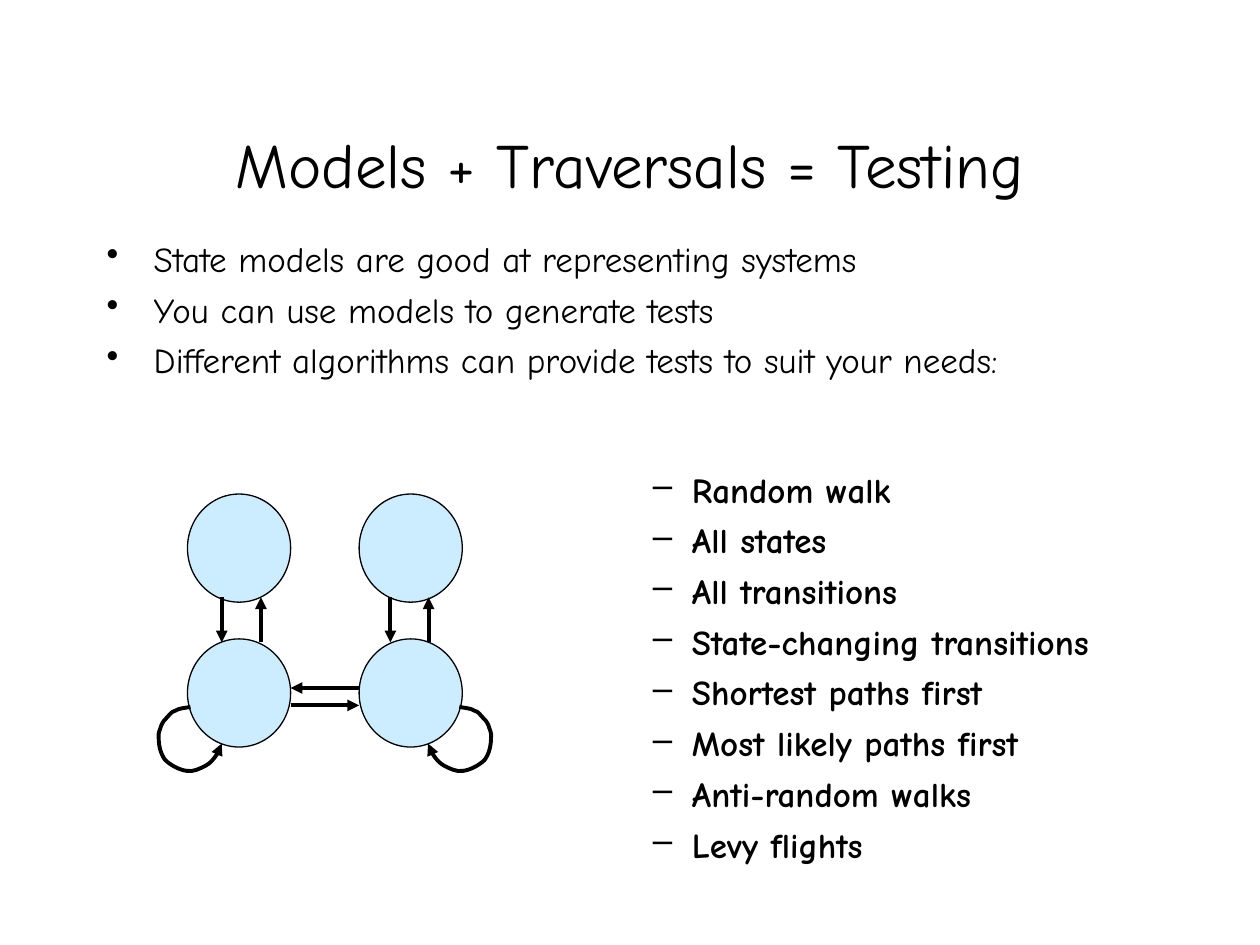
from dataclasses import dataclass

from pptx import Presentation
from pptx import util as u
from pptx.dml.color import RGBColor
from pptx.enum import shapes, text
from pptx.oxml import ns, xmlchemy

Cm, Pt = u.Cm, u.Pt
BLACK = RGBColor(0, 0, 0)
SKY = RGBColor(0xCC, 0xEC, 0xFF)
FONT = "Comic Neue"

STRAIGHT = shapes.MSO_CONNECTOR.STRAIGHT
CURVE = shapes.MSO_CONNECTOR.CURVE

# Circle grid, in cm
WIDE, HIGH = 2.08, 2.18
COLS = (3.78, 7.24)
ROWS = (9.96, 12.88)
AXIS = (COLS[0] + COLS[1] + WIDE) / 2

# Bezier points of the left self-loop, in cm
LOOP = (
    (3.84, 14.25),
    (3.78, 14.27), (3.61, 14.27), (3.53, 14.33),
    (3.45, 14.35), (3.43, 14.40), (3.38, 14.45),
    (3.33, 14.50), (3.28, 14.55), (3.25, 14.63),
    (3.23, 14.71), (3.18, 14.78), (3.20, 14.88),
    (3.20, 15.01), (3.23, 15.19), (3.33, 15.32),
    (3.43, 15.42), (3.61, 15.52), (3.76, 15.54),
    (3.89, 15.57), (4.04, 15.49), (4.14, 15.44),
    (4.24, 15.39), (4.32, 15.29), (4.37, 15.21),
    (4.45, 15.14), (4.45, 15.04), (4.47, 14.99),
)


@dataclass
class Box:
    left: float
    top: float
    width: float
    height: float
    lines: tuple
    size: int
    bold: bool = False
    mark: str = ""
    level: int = 0
    margin: float = 0
    hang: float = 0


@dataclass
class Arrow:
    x1: float
    y1: float
    x2: float
    y2: float
    kind: int = STRAIGHT


BOXES = (
    Box(1.9, 1.7, 21.59, 3.18, ("Models + Traversals = Testing",), 36),
    Box(1.9, 4.66, 22.86, 3.81, (
        "State models are good at representing systems",
        "You can use models to generate tests",
        "Different algorithms can provide tests to suit your needs:",
    ), 20, mark="•", margin=0.95, hang=0.95),
    Box(11.64, 9.31, 12.5, 8.47, (
        "Random walk",
        "All states",
        "All transitions",
        "State-changing transitions",
        "Shortest paths first",
        "Most likely paths first",
        "Anti-random walks",
        "Levy flights",
    ), 20, bold=True, mark="–", level=1, margin=2.06, hang=0.79),
)

UPPER, LOWER = 12.04, 12.95
INNER = (COLS[0] + WIDE, COLS[1])
ARROWS = (
    Arrow(INNER[1], 13.87, INNER[0], 13.87, CURVE),
    Arrow(INNER[0], 14.22, INNER[1], 14.22),
    Arrow(4.47, UPPER, 4.47, LOWER),
    Arrow(5.26, LOWER, 5.26, UPPER),
    Arrow(7.87, UPPER, 7.87, LOWER),
    Arrow(8.64, LOWER, 8.64, UPPER),
)


def add(parent, tag: str, **attrs: str):
    node = xmlchemy.OxmlElement(tag)
    for key, value in attrs.items():
        node.set(key, value)
    parent.append(node)
    return node


def bullet(para, box: Box) -> None:
    props = para._p.get_or_add_pPr()
    props.set("marL", str(Cm(box.margin)))
    props.set("indent", str(-Cm(box.hang)))
    add(add(props, "a:buClr"), "a:srgbClr", val=str(BLACK))
    add(props, "a:buChar", char=box.mark)


def write(slide, box: Box) -> None:
    shape = slide.shapes.add_textbox(
        Cm(box.left), Cm(box.top), Cm(box.width), Cm(box.height))
    frame = shape.text_frame
    frame.word_wrap = True
    if not box.mark:
        frame.vertical_anchor = text.MSO_ANCHOR.MIDDLE
    for i, line in enumerate(box.lines):
        para = frame.paragraphs[0] if i == 0 else frame.add_paragraph()
        para.text = line
        para.level = box.level
        if i:
            para.space_before = Pt(5)
        if box.mark:
            bullet(para, box)
        else:
            para.alignment = text.PP_ALIGN.CENTER
        font = para.font
        font.name, font.size, font.bold = FONT, Pt(box.size), box.bold
        font.color.rgb = BLACK


def circle(slide, left: float, top: float) -> None:
    shape = slide.shapes.add_shape(
        shapes.MSO_SHAPE.OVAL, Cm(left), Cm(top), Cm(WIDE), Cm(HIGH))
    shape.shadow.inherit = False
    shape.fill.solid()
    shape.fill.fore_color.rgb = SKY
    shape.line.color.rgb = BLACK
    shape.line.width = Pt(0.75)


def tip(line) -> None:
    """Make a line thick and black, with an arrowhead at its end."""
    line.color.rgb = BLACK
    line.width = Pt(2.25)
    add(line._get_or_add_ln(), "a:tailEnd", type="triangle")


def arrow(slide, item: Arrow) -> None:
    link = slide.shapes.add_connector(
        item.kind, Cm(item.x1), Cm(item.y1), Cm(item.x2), Cm(item.y2))
    tip(link.line)
    add(link._element.spPr, "a:effectLst")


def loop(slide, points: list) -> None:
    """Draw an arrow through Bezier points, three to each curve."""
    dots = [(Cm(x), Cm(y)) for x, y in points]
    pen = slide.shapes.build_freeform(*dots[0])
    pen.add_line_segments(dots[1:], close=False)
    shape = pen.convert_to_shape()
    shape.shadow.inherit = False
    shape.fill.background()
    tip(shape.line)
    route = shape._element.find(".//" + ns.qn("a:path"))
    steps = route.findall(ns.qn("a:lnTo"))
    for i in range(0, len(steps), 3):
        curve = add(route, "a:cubicBezTo")
        for step in steps[i:i + 3]:
            curve.append(step[0])
            route.remove(step)


def main() -> None:
    deck = Presentation()
    deck.slide_width, deck.slide_height = Cm(25.4), Cm(19.05)
    slide = deck.slides.add_slide(deck.slide_layouts[6])
    for box in BOXES:
        write(slide, box)
    for left in COLS:
        for top in ROWS:
            circle(slide, left, top)
    loop(slide, LOOP)
    loop(slide, [(2 * AXIS - x, y) for x, y in LOOP])
    for item in ARROWS:
        arrow(slide, item)
    deck.save("out.pptx")


if __name__ == "__main__":
    main()
